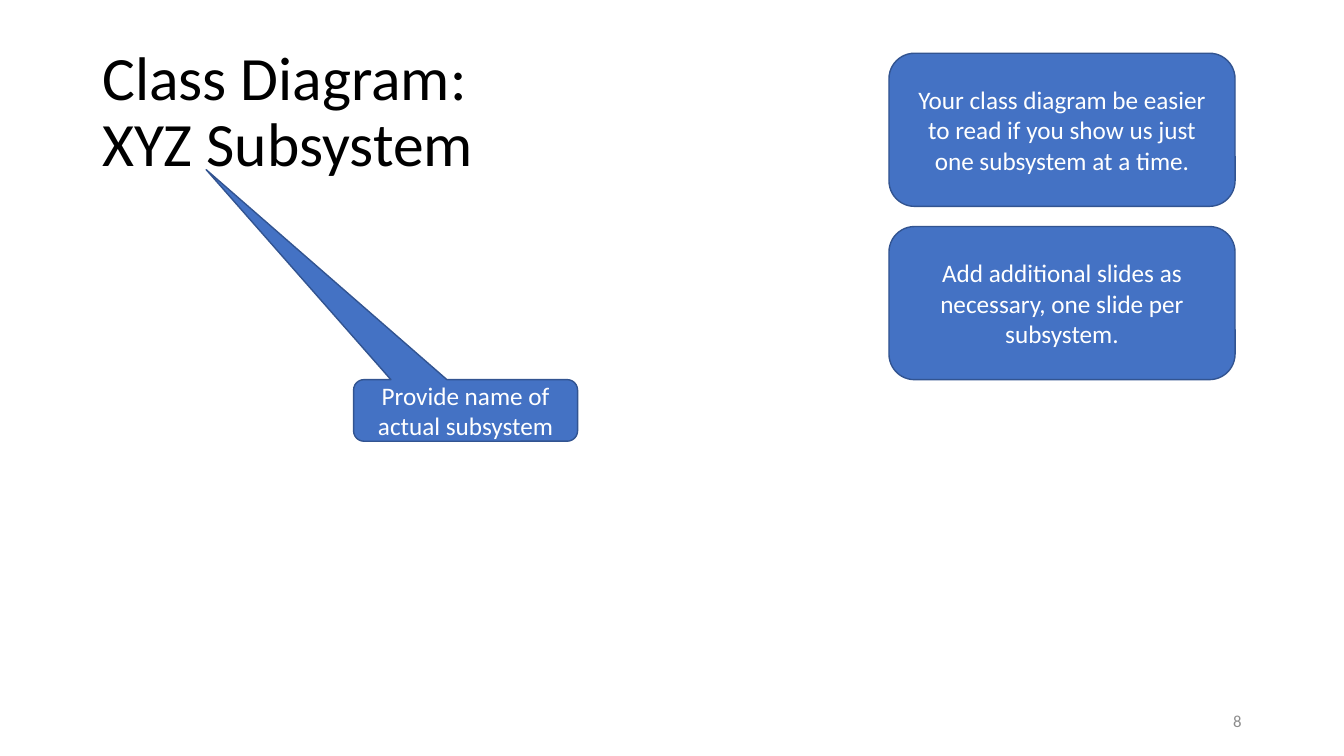
from pptx import Presentation
from pptx.dml.color import RGBColor
from pptx.enum.shapes import MSO_SHAPE as Shape
from pptx.enum.text import MSO_ANCHOR as Anchor, PP_ALIGN as Align
from pptx.util import Pt

# Content: text, (left, top, width, height) in points
TITLE = "Class Diagram:\nXYZ Subsystem"
TITLE_AREA = (66, 28.8, 828, 104.4)
PAGE_NUMBER = "8"
NUMBER_AREA = (678, 500.5, 216, 28.75)
TIPS = [
    "Your class diagram be easier to read if you show us just one subsystem at a time.",
    "Add additional slides as necessary, one slide per subsystem.",
]
TIP_LEFT, TIP_TOP, TIP_WIDTH, TIP_HEIGHT, TIP_GAP = 635, 38, 247.2, 109.4, 14.4
CALLOUT = "Provide name of actual subsystem"
CALLOUT_AREA = (252.6, 271.2, 160, 44)
CALLOUT_ADJUSTMENTS = (-1.158, -3.908, 0.167)

FONT = "Calibri"
BLUE, EDGE, WHITE, BLACK, GRAY = "4472C4", "325491", "FFFFFF", "000000", "8C8C8C"


def color(code):
    return RGBColor.from_string(code)


def write(box, text, size, code, align):
    frame = box.text_frame
    frame.word_wrap = True
    frame.vertical_anchor = Anchor.MIDDLE
    para = frame.paragraphs[0]
    para.text = text
    para.alignment = align
    para.font.name = FONT
    para.font.size = Pt(size)
    para.font.color.rgb = color(code)
    return para


def add_text(page, text, area, size, code, align):
    box = page.shapes.add_textbox(*map(Pt, area))
    return write(box, text, size, code, align)


def add_note(page, kind, text, area):
    note = page.shapes.add_shape(kind, *map(Pt, area))
    note.shadow.inherit = False
    note.fill.solid()
    note.fill.fore_color.rgb = color(BLUE)
    note.line.color.rgb = color(EDGE)
    note.line.width = Pt(1)
    write(note, text, 18, WHITE, Align.CENTER)
    return note


deck = Presentation()
deck.slide_width, deck.slide_height = Pt(960), Pt(540)
page = deck.slides.add_slide(deck.slide_layouts[6])

# Title and page number
title = add_text(page, TITLE, TITLE_AREA, 44, BLACK, Align.LEFT)
title.line_spacing = 0.9
add_text(page, PAGE_NUMBER, NUMBER_AREA, 12, GRAY, Align.RIGHT)

# Tips stacked at the right
for row, tip in enumerate(TIPS):
    top = TIP_TOP + row * (TIP_HEIGHT + TIP_GAP)
    add_note(page, Shape.ROUNDED_RECTANGLE, tip, (TIP_LEFT, top, TIP_WIDTH, TIP_HEIGHT))

# Callout pointing at the subsystem name
callout = add_note(page, Shape.ROUNDED_RECTANGULAR_CALLOUT, CALLOUT, CALLOUT_AREA)
for index, value in enumerate(CALLOUT_ADJUSTMENTS):
    callout.adjustments[index] = value

deck.save("out.pptx")
